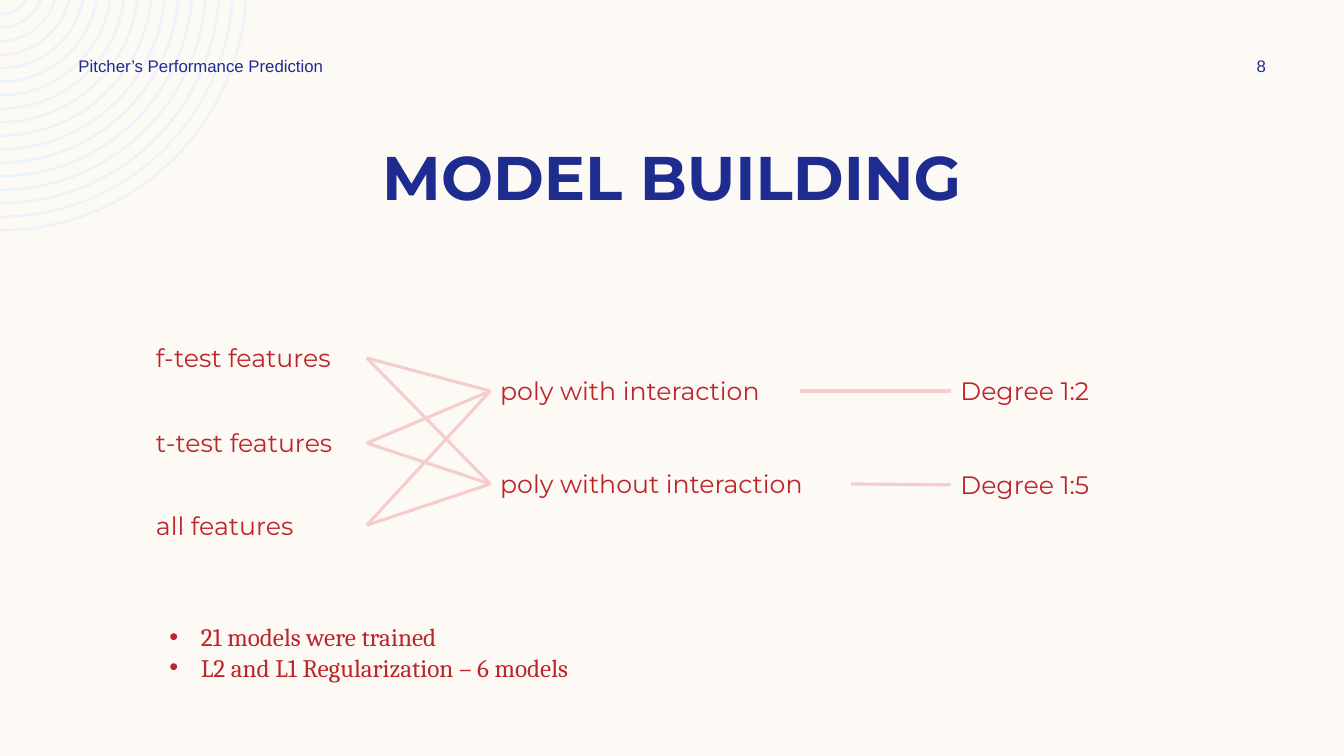
import math
from lxml import etree
from pptx import Presentation, oxml, util as u
from pptx.dml.color import RGBColor
from pptx.enum import shapes, text

Pt = u.Pt
CREAM = RGBColor(0xFD, 0xFA, 0xF6)
PALE = RGBColor(0xEE, 0xF3, 0xFA)
NAVY = RGBColor(0x1F, 0x2C, 0x8F)
RED = RGBColor(0xBC, 0x25, 0x29)
PINK = RGBColor(0xF5, 0xCD, 0xCE)

HEAD = {"size": Pt(12), "name": "Arial"}
TITLE = {"size": Pt(44), "name": "Montserrat", "bold": True}
NODE = {"size": Pt(18), "name": "Montserrat"}
LIST = {"size": Pt(18), "name": "Cambria"}
MID = {"vertical_anchor": text.MSO_ANCHOR.MIDDLE}
GROW = {"auto_size": text.MSO_AUTO_SIZE.SHAPE_TO_FIT_TEXT}
CENTER = text.PP_ALIGN.CENTER

LABELS = [
    (["MODEL BUILDING"], (60, 95.8, 840, 60.5), TITLE, NAVY, {}, CENTER),
    (["Pitcher’s Performance Prediction"], (49, 36, 252, 21.6), HEAD, NAVY, MID, None),
    (["8"], (862, 36, 77.8, 21.6), HEAD, NAVY, MID, CENTER),
]
NODES = {
    "f-test features": (104.3, 241.2, 157.7),
    "t-test features": (104.3, 302, 157.7),
    "all features": (104.3, 360.7, 157.7),
    "poly with interaction": (350.2, 264.8, 221),
    "poly without interaction": (350.2, 331.2, 257.8),
    "Degree 1:2": (679, 264.8, 125.3),
    "Degree 1:5": (679, 331.8, 125.3),
}
NODE_H = 29
FACTS = ["21 models were trained", "L2 and L1 Regularization – 6 models"]
FACT_BOX = (113.8, 440.6, 709.2, 51)
RINGS, RADIUS, STEP, BAND, DROP = 17, 177, 9.65, 1.9, -11.5
UNITS = 100

deck = Presentation()
deck.slide_width, deck.slide_height = Pt(960), Pt(540)
page = deck.slides.add_slide(deck.slide_layouts[6])
page.background.fill.solid()
page.background.fill.fore_color.rgb = CREAM


def arc(rad):
    low = math.asin(-DROP / rad)
    pull = 4 / 3 * math.tan((math.pi / 2 - low) / 4)
    cos, sin = math.cos(low), math.sin(low)
    spots = [(cos, sin), (cos - pull * sin, sin + pull * cos), (pull, 1), (0, 1)]
    return [(round(UNITS * rad * x), round(UNITS * (DROP + rad * y))) for x, y in spots]


def bend(line, spots):
    line.tag = oxml.ns.qn("a:cubicBezTo")
    for k, (x, y) in enumerate(spots):
        spot = etree.Element(oxml.ns.qn("a:pt"), x=str(x), y=str(y))
        line.insert(k, spot)


def add_rings():
    radii = [RADIUS - k * STEP for k in range(RINGS)]
    bands = [(arc(rad), arc(rad - BAND)[::-1]) for rad in radii]
    pen = page.shapes.build_freeform(*bands[0][0][0], scale=Pt(1) / UNITS)
    for k, (outer, inner) in enumerate(bands):
        if k:
            pen.move_to(*outer[0])
        pen.add_line_segments([outer[3], inner[0], inner[3]], close=True)
    rings = pen.convert_to_shape()
    lines = list(rings._element.iter(oxml.ns.qn("a:lnTo")))
    for k, (outer, inner) in enumerate(bands):
        bend(lines[3 * k], outer[1:3])
        bend(lines[3 * k + 2], inner[1:3])
    rings.shadow.inherit = False
    rings.fill.solid()
    rings.fill.fore_color.rgb = PALE
    rings.line.fill.background()


def add_label(lines, box, font, color, frame, align=None, bullet=False):
    label = page.shapes.add_textbox(*map(Pt, box))
    body = label.text_frame
    body.word_wrap = True
    for key, val in frame.items():
        setattr(body, key, val)
    body.text = "\n".join(lines)
    for par in body.paragraphs:
        par.alignment = align
        run = par.runs[0]
        for key, val in font.items():
            setattr(run.font, key, val)
        run.font.color.rgb = color
        if bullet:
            props = par._p.get_or_add_pPr()
            props.set("marL", str(Pt(22.5)))
            props.set("indent", str(-Pt(22.5)))
            etree.SubElement(props, oxml.ns.qn("a:buFont")).set("typeface", "Arial")
            etree.SubElement(props, oxml.ns.qn("a:buChar")).set("char", "•")
    return label


def add_link(left, right):
    link = page.shapes.add_connector(shapes.MSO_CONNECTOR.STRAIGHT, 0, 0, 0, 0)
    link.begin_connect(left, 3)
    link.end_connect(right, 1)
    link.line.color.rgb = PINK
    link.line.width = Pt(2.25)
    etree.SubElement(link._element.spPr, oxml.ns.qn("a:effectLst"))


add_rings()
for label in LABELS:
    add_label(*label)
nodes = [add_label([name], (*box, NODE_H), NODE, RED, GROW)
         for name, box in NODES.items()]
tests, polys, grades = nodes[:3], nodes[3:5], nodes[5:]
for poly in polys:
    for test in tests:
        add_link(test, poly)
for poly, grade in zip(polys, grades):
    add_link(poly, grade)
add_label(FACTS, FACT_BOX, LIST, RED, GROW, bullet=True)

deck.save("out.pptx")
